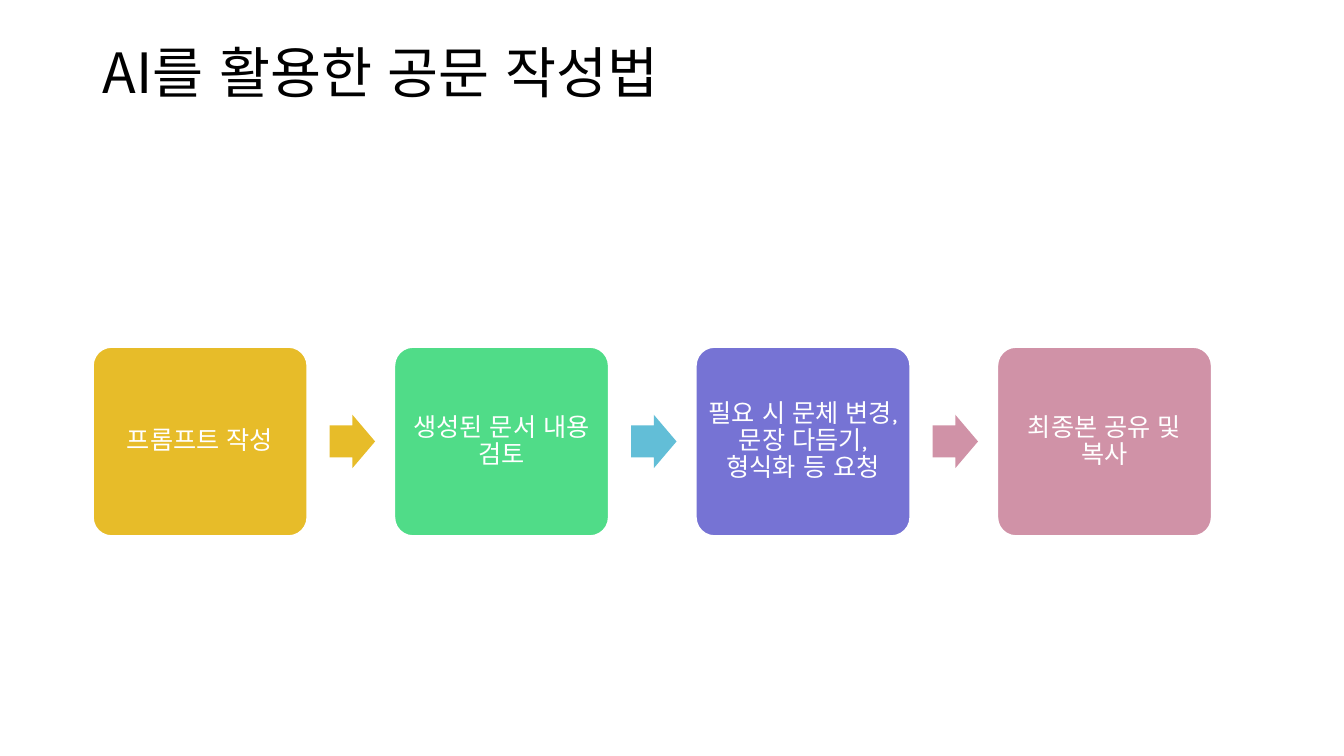
"""Build a slide showing four steps for writing official documents with AI."""
from lxml import etree
from pptx import Presentation
from pptx.dml.color import RGBColor
from pptx.enum.lang import MSO_LANGUAGE_ID
from pptx.enum.shapes import MSO_SHAPE
from pptx.enum.text import MSO_ANCHOR, PP_ALIGN
from pptx.oxml.ns import qn
from pptx.util import Inches, Pt

ROUNDED = MSO_SHAPE.ROUNDED_RECTANGLE
ARROW = MSO_SHAPE.RIGHT_ARROW
MIDDLE = MSO_ANCHOR.MIDDLE
LEFT, CENTER = PP_ALIGN.LEFT, PP_ALIGN.CENTER
KOREAN = MSO_LANGUAGE_ID.KOREAN
KOREAN_FONT = "Noto Sans CJK KR"

COLORS = {
    "black": "000000",
    "white": "FFFFFF",
    "gold": "E7BC29",
    "green": "50DC88",
    "sky": "62BED7",
    "violet": "7673D4",
    "rose": "D092A7",
}
STEPS = [
    ("프롬프트 작성", "gold"),
    ("생성된 문서 내용 검토", "green"),
    ("필요 시 문체 변경, 문장 다듬기, 형식화 등 요청", "violet"),
    ("최종본 공유 및 복사", "rose"),
]
ARROW_COLORS = ["gold", "sky", "rose"]
STEP_LEFT, STEP_PITCH = 0.92, 2.99
STEP_TOP, STEP_WIDTH, STEP_HEIGHT = 3.44, 2.13, 1.88
ARROW_OFFSET, ARROW_WIDTH, ARROW_HEIGHT = 2.35, 0.45, 0.53


def rgb(name):
    """Return the named colour."""
    return RGBColor.from_string(COLORS[name])


def write_text(box, text, *, size, font, color, align=LEFT, inset=None):
    """Fill a box with one formatted paragraph."""
    frame = box.text_frame
    frame.word_wrap = True
    frame.vertical_anchor = MIDDLE
    if inset is not None:
        frame.margin_left = frame.margin_right = Inches(inset)
        frame.margin_top = frame.margin_bottom = Inches(inset)
    para = frame.paragraphs[0]
    para.alignment = align
    para.line_spacing = 0.9
    span = para.add_run()
    span.text = text
    span.font.size = Pt(size)
    span.font.language_id = KOREAN
    span.font.color.rgb = rgb(color)
    span.font.name = font
    properties = span._r.get_or_add_rPr()
    etree.SubElement(properties, qn("a:ea"), typeface=KOREAN_FONT)


def add_block(page, kind, left, top, width, height, color, adjustments):
    """Add a flat filled shape without an outline."""
    block = page.shapes.add_shape(
        kind, Inches(left), Inches(top), Inches(width), Inches(height))
    block.shadow.inherit = False
    block.fill.solid()
    block.fill.fore_color.rgb = rgb(color)
    block.line.fill.background()
    for index, value in enumerate(adjustments):
        block.adjustments[index] = value
    return block


def add_title(page, text):
    """Add the slide title."""
    box = page.shapes.add_textbox(
        Inches(0.92), Inches(0.4), Inches(11.5), Inches(0.69))
    write_text(box, text, size=39.6, font=KOREAN_FONT, color="black")


def add_step(page, index, text, color):
    """Add one step card of the process."""
    card = add_block(page, ROUNDED, STEP_LEFT + index * STEP_PITCH, STEP_TOP,
                     STEP_WIDTH, STEP_HEIGHT, color, [0.1])
    card.line.color.rgb = rgb("white")
    card.line.width = Pt(1.5)
    write_text(card, text, size=18, font="Karla", color="white",
               align=CENTER, inset=0.07)


def add_step_arrow(page, index, color):
    """Add the arrow that follows a step card."""
    left = STEP_LEFT + index * STEP_PITCH + ARROW_OFFSET
    top = STEP_TOP + (STEP_HEIGHT - ARROW_HEIGHT) / 2
    add_block(page, ARROW, left, top, ARROW_WIDTH, ARROW_HEIGHT, color,
              [0.6, 0.5])


def main():
    """Build and save the deck."""
    deck = Presentation()
    deck.slide_width, deck.slide_height = Inches(13.33), Inches(7.5)
    page = deck.slides.add_slide(deck.slide_layouts[6])
    add_title(page, "AI를 활용한 공문 작성법")
    for index, (text, color) in enumerate(STEPS):
        add_step(page, index, text, color)
    for index, color in enumerate(ARROW_COLORS):
        add_step_arrow(page, index, color)
    deck.save("out.pptx")


if __name__ == "__main__":
    main()
